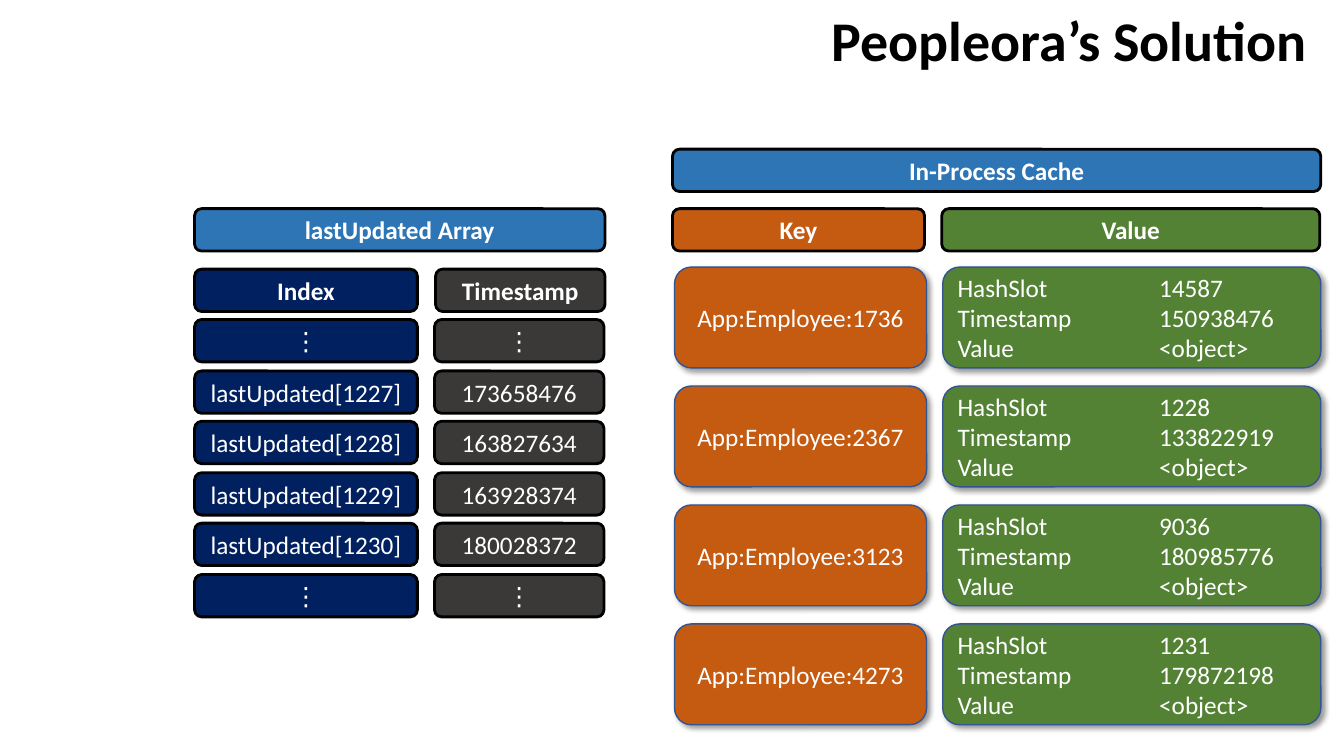
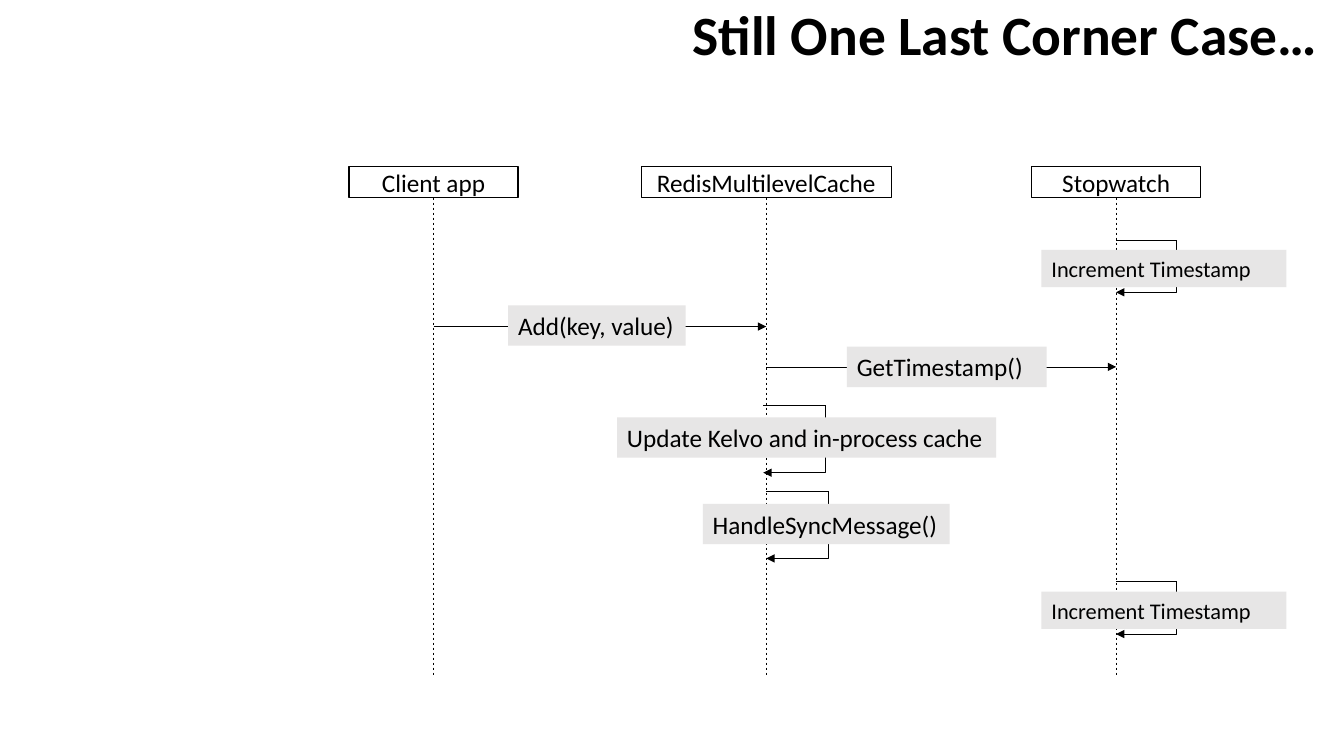
from lxml import etree
from pptx import Presentation
from pptx.dml.color import RGBColor
from pptx.enum.dml import MSO_LINE
from pptx.enum.shapes import MSO_CONNECTOR as LINK, MSO_SHAPE as FORM
from pptx.enum.text import MSO_ANCHOR as ANCHOR, PP_ALIGN as ALIGN
from pptx.oxml.ns import qn
from pptx.util import Pt

PX = 9144
FONT = "Calibri"
SYMBOL_FONT = "Open Sans"
BLACK, WHITE, LABEL_GRAY = "000000", "FFFFFF", "E7E6E6"
BLUE, NAVY, CHARCOAL = "2E75B6", "002060", "3B3838"
ORANGE, GREEN, CARD_EDGE = "C55A11", "548235", "325491"
ARRAY_ROWS = [
    ("⋮", "⋮"),
    ("lastUpdated[1227]", "173658476"),
    ("lastUpdated[1228]", "163827634"),
    ("lastUpdated[1229]", "163928374"),
    ("lastUpdated[1230]", "180028372"),
    ("⋮", "⋮"),
]
CACHE_ROWS = [
    ("App:Employee:1736", "14587", "150938476"),
    ("App:Employee:2367", "1228", "133822919"),
    ("App:Employee:3123", "9036", "180985776"),
    ("App:Employee:4273", "1231", "179872198"),
]


def px(*lengths):
    """Turn px lengths into EMU."""
    return [length * PX for length in lengths]


def color(value):
    """Turn a hex string into a colour."""
    return RGBColor.from_string(value)


def add_child(parent, tag, **attributes):
    """Append an XML child with the given attributes."""
    child = etree.SubElement(parent, qn(tag))
    for name, value in attributes.items():
        child.set(name, str(value))
    return child


def format_para(para, align, ink=BLACK, **font_values):
    """Set alignment and font values of one paragraph."""
    para.alignment = align
    para.font.color.rgb = color(ink)
    for name, value in {"name": FONT, "size": Pt(18), **font_values}.items():
        setattr(para.font, name, value)


def add_slide(deck, title, left, width, height, size):
    """Add a slide with a right-aligned title."""
    slide = deck.slides.add_slide(deck.slide_layouts[5])
    box = slide.shapes.title
    values = zip(("left", "top", "width", "height"), px(left, 0, width, height))
    for name, value in values:
        setattr(box, name, value)
    box.text_frame.text = title
    box.text_frame.vertical_anchor = ANCHOR.MIDDLE
    para = box.text_frame.paragraphs[0]
    para.line_spacing = 0.9
    format_para(para, ALIGN.RIGHT, size=Pt(size), bold=True)
    return slide


def add_box(slide, form, place, text, fill, edge=None, weight=1,
            align=ALIGN.CENTER, anchor=ANCHOR.MIDDLE, **font_values):
    """Add a filled shape with text."""
    box = slide.shapes.add_shape(form, *px(*place))
    box.shadow.inherit = False
    box.fill.solid()
    box.fill.fore_color.rgb = color(fill)
    if edge:
        box.line.color.rgb = color(edge)
        box.line.width = Pt(weight)
    else:
        box.line.fill.background()
    frame = box.text_frame
    frame.word_wrap = True
    frame.vertical_anchor = anchor
    frame.text = text
    for para in frame.paragraphs:
        format_para(para, align, **font_values)
    return box


def add_cell(slide, place, text, fill, **font_values):
    """Add a rounded cell with a black edge."""
    return add_box(slide, FORM.ROUNDED_RECTANGLE, place, text, fill, BLACK, 2,
                   ink=WHITE, **font_values)


def add_card(slide, place, text, fill, align):
    """Add a rounded card with a soft shadow."""
    card = add_box(slide, FORM.ROUNDED_RECTANGLE, place, text, fill, CARD_EDGE,
                   align=align, ink=WHITE)
    effects = card._element.spPr.find(qn("a:effectLst"))
    shadow = add_child(effects, "a:outerShdw", blurRad=Pt(4), dist=Pt(3),
                       dir=45 * 60000, algn="tl", rotWithShape=0)
    add_child(add_child(shadow, "a:srgbClr", val=BLACK), "a:alpha", val=40000)
    return card


def add_value_card(slide, place, slot, timestamp):
    """Add a card that lists fields and values at a tab stop."""
    text = f"HashSlot\t{slot}\nTimestamp\t{timestamp}\nValue\t<object>"
    card = add_card(slide, place, text, GREEN, ALIGN.LEFT)
    for para in card.text_frame.paragraphs:
        tabs = etree.Element(qn("a:tabLst"))
        add_child(tabs, "a:tab", pos=200 * PX, algn="l")
        para._p.get_or_add_pPr().insert(0, tabs)


def add_line(slide, start, end, kind=LINK.STRAIGHT, dashed=False, arrow=False):
    """Add a thin connector."""
    line = slide.shapes.add_connector(kind, *px(*start, *end))
    line.line.color.rgb = color(BLACK)
    line.line.width = Pt(0.5)
    if dashed:
        line.line.dash_style = MSO_LINE.DASH
    if arrow:
        add_child(line.line._get_or_add_ln(), "a:tailEnd", type="triangle")
    add_child(line._element.spPr, "a:effectLst")
    return line


def add_label(slide, place, text, size=18):
    """Add a gray message label."""
    add_box(slide, FORM.RECTANGLE, place, text, LABEL_GRAY, align=ALIGN.LEFT,
            anchor=ANCHOR.TOP, size=Pt(size))


def add_lifeline(slide, center, width, name):
    """Add a participant with its dashed lifeline."""
    place = (center - width // 2, 165, width, 31)
    head = add_box(slide, FORM.RECTANGLE, place, name, WHITE, BLACK)
    line = add_line(slide, (center, 196), (center, 671), dashed=True)
    line.begin_connect(head, 2)


def add_message(slide, start, end, top, label, text):
    """Add a labelled arrow between two lifelines."""
    add_line(slide, (start, top), (end, top), arrow=True)
    add_label(slide, label, text)


def add_self_call(slide, left, top, reach, height, label, text, size=18):
    """Add a labelled arrow that loops back to its lifeline."""
    right = left + reach
    add_line(slide, (left, top), (right, top))
    bend = add_line(slide, (right, top), (left, top + height), LINK.ELBOW,
                    arrow=True)
    guides = bend._element.spPr.find(qn("a:prstGeom")).get_or_add_avLst()
    add_child(guides, "a:gd", name="adj1", fmla="val 500")
    add_label(slide, label, text, size)


def build_solution(deck):
    """Build the array and cache slide."""
    slide = add_slide(deck, "Peopleora’s Solution", 331, 975, 86, 40)
    headers = [
        (667, 148, 643, "In-Process Cache", BLUE),
        (667, 207, 250, "Key", ORANGE),
        (934, 207, 375, "Value", GREEN),
        (193, 207, 407, "lastUpdated Array", BLUE),
        (193, 267, 221, "Index", NAVY),
        (432, 267, 168, "Timestamp", CHARCOAL),
    ]
    for left, top, width, text, fill in headers:
        add_cell(slide, (left, top, width, 42), text, fill, bold=True)
    for row, (index, timestamp) in enumerate(ARRAY_ROWS, 1):
        top = 267 + row * 101 // 2
        font = SYMBOL_FONT if index == "⋮" else FONT
        add_cell(slide, (193, top, 221, 42), index, NAVY, name=font)
        add_cell(slide, (431, top, 168, 42), timestamp, CHARCOAL, name=font)
    for row, (key, slot, timestamp) in enumerate(CACHE_ROWS):
        top = 265 + row * 118
        add_card(slide, (669, top, 250, 100), key, ORANGE, ALIGN.CENTER)
        add_value_card(slide, (935, top, 375, 100), slot, timestamp)


def build_corner_case(deck):
    """Build the sequence diagram slide."""
    slide = add_slide(deck, "Still One Last Corner Case…", 367, 950, 75, 39.6)
    client, cache, stopwatch = 430, 760, 1107
    add_lifeline(slide, client, 168, "Client app")
    add_lifeline(slide, cache, 248, "RedisMultilevelCache")
    add_lifeline(slide, stopwatch, 168, "Stopwatch")
    for top in (238, 577):
        add_self_call(slide, stopwatch, top, 60, 52,
                      (1033, top + 10, 243, 37), "Increment Timestamp", 16)
    add_message(slide, client, cache, 324, (504, 303, 176, 40),
                "Add(key, value)")
    add_message(slide, cache, stopwatch, 364, (840, 344, 198, 40),
                "GetTimestamp()")
    add_self_call(slide, cache - 3, 402, 62, 67, (612, 414, 376, 40),
                  "Update Kelvo and in-process cache")
    add_self_call(slide, cache, 487, 62, 67, (697, 500, 245, 40),
                  "HandleSyncMessage()")


def main():
    """Build and save the deck."""
    deck = Presentation()
    deck.slide_width, deck.slide_height = px(1333, 750)
    build_solution(deck)
    build_corner_case(deck)
    deck.save("out.pptx")


if __name__ == "__main__":
    main()
